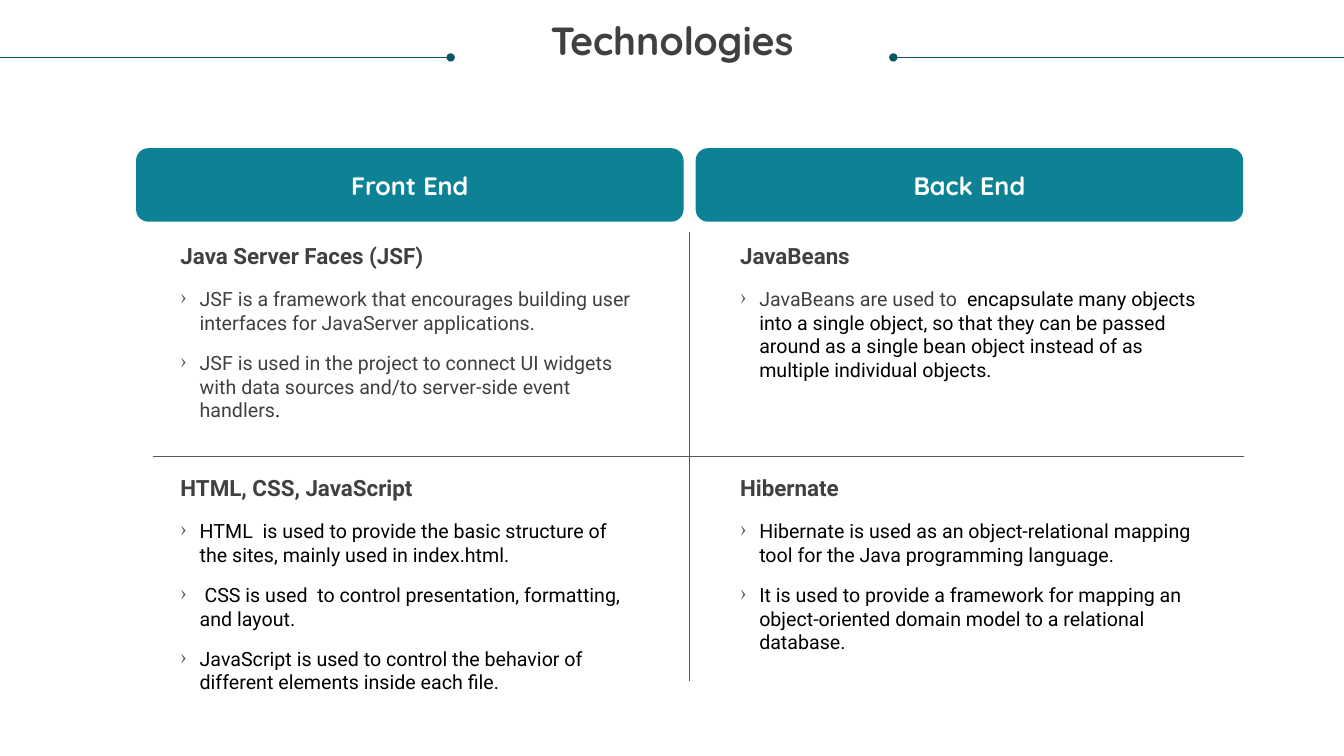
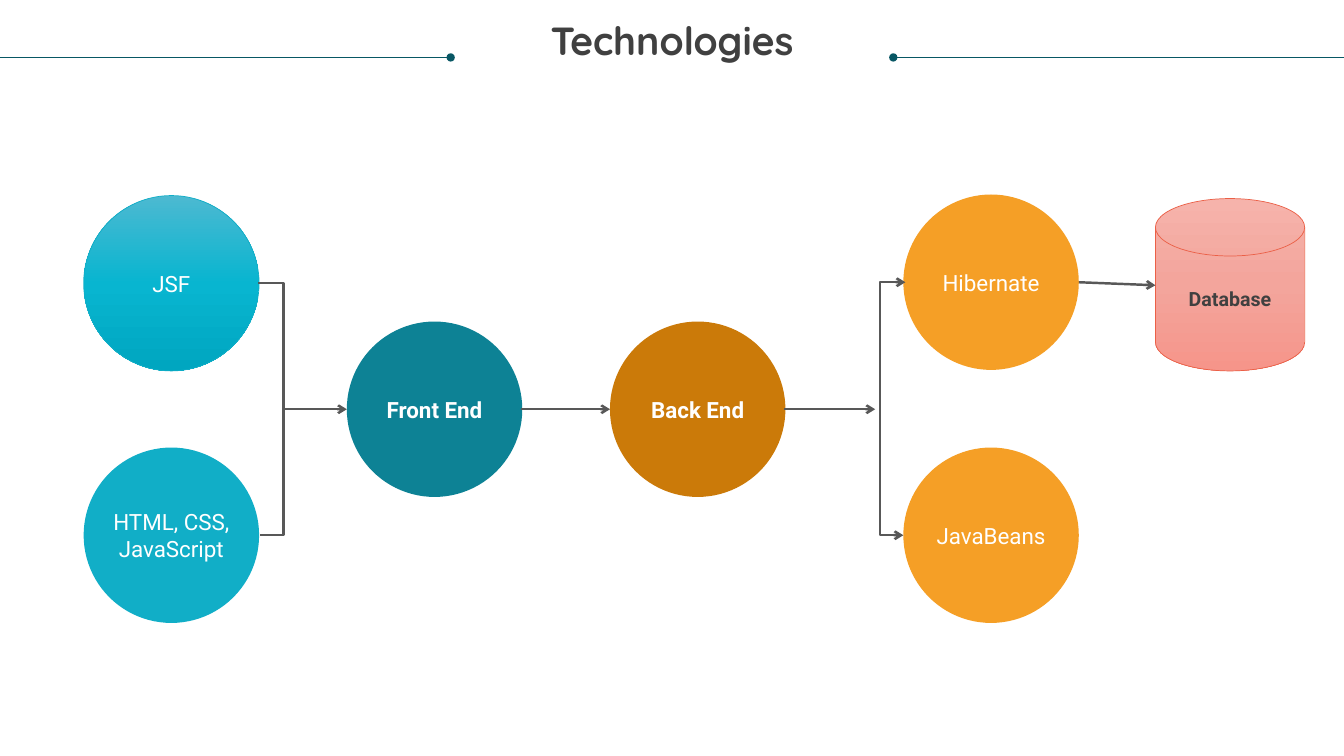
from copy import deepcopy
from dataclasses import dataclass

from lxml import etree
from pptx import Presentation
from pptx.dml.color import RGBColor
from pptx.enum.shapes import MSO_CONNECTOR, MSO_SHAPE
from pptx.enum.text import MSO_ANCHOR, MSO_AUTO_SIZE, PP_ALIGN
from pptx.oxml.ns import qn
from pptx.util import Inches, Pt

STRAIGHT, ELBOW = MSO_CONNECTOR.STRAIGHT, MSO_CONNECTOR.ELBOW
ROUND, OVAL = MSO_SHAPE.ROUNDED_RECTANGLE, MSO_SHAPE.OVAL
DISK = MSO_SHAPE.FLOWCHART_MAGNETIC_DISK
LEFT, CENTER = PP_ALIGN.LEFT, PP_ALIGN.CENTER
TOP, MIDDLE = MSO_ANCHOR.TOP, MSO_ANCHOR.MIDDLE
GROW = MSO_AUTO_SIZE.SHAPE_TO_FIT_TEXT

WHITE = RGBColor(0xFF, 0xFF, 0xFF)
BLACK = RGBColor(0x00, 0x00, 0x00)
DARK = RGBColor(0x40, 0x40, 0x40)
GREY = RGBColor(0x58, 0x58, 0x58)
DEEP = RGBColor(0x08, 0x57, 0x64)
TEAL = RGBColor(0x0D, 0x82, 0x95)
CYAN = RGBColor(0x11, 0xAE, 0xC7)
BROWN = RGBColor(0xCB, 0x7A, 0x09)
AMBER = RGBColor(0xF5, 0x9F, 0x26)
RED = RGBColor(0xEB, 0x60, 0x47)
SEA = (RGBColor(0x4C, 0xB9, 0xD1), RGBColor(0x08, 0xB5, 0xD0), RGBColor(0x00, 0xA6, 0xC0))
ROSE = (RGBColor(0xF6, 0xB3, 0xAB), RGBColor(0xF3, 0xA5, 0x9C), RGBColor(0xF6, 0x95, 0x8A))

HEAD, BODY = "Quicksand", "Roboto"
WIDE, HIGH = 13.33, 7.5
SIZE = 1.74
MID = 4.06

Run = tuple[str, RGBColor]


@dataclass
class Panel:
    col: int
    row: int
    title: str
    items: list[list[Run]]


@dataclass
class Node:
    text: str
    left: float
    top: float
    fill: RGBColor | tuple
    bold: bool = False
    edge: RGBColor | None = None
    ink: RGBColor = WHITE
    size: int = 16
    kind: int = OVAL
    wide: float = SIZE
    high: float = SIZE


@dataclass
class Link:
    start: tuple[float, float]
    end: tuple[float, float]
    head: str | None = None
    tail: str | None = None
    bend: int | None = None


PANELS = [
    Panel(0, 0, "Java Server Faces (JSF)", [
        [("JSF is a framework that encourages building user interfaces for JavaServer applications.", DARK)],
        [("JSF is used in the project to connect UI widgets with data sources and/to server-side event handlers", DARK),
         (".", BLACK)],
    ]),
    Panel(1, 0, "JavaBeans", [
        [("JavaBeans are used to ", DARK),
         (" encapsulate many objects into a single object, so that they can be passed around as a single bean object "
          "instead of as multiple individual objects.", BLACK)],
    ]),
    Panel(0, 1, "HTML, CSS, JavaScript", [
        [("HTML  is used to provide the basic structure of the sites, mainly used in index.html.", BLACK)],
        [(" CSS is used  to control presentation, formatting, and layout.", BLACK)],
        [("JavaScript is used to control the behavior of different elements inside each file.", BLACK)],
    ]),
    Panel(1, 1, "Hibernate", [
        [("Hibernate is used as an object-relational mapping tool for the Java programming language.", BLACK)],
        [("It is used to provide a framework for mapping an object-oriented domain model to a relational database.",
          BLACK)],
    ]),
]

NODES = [
    Node("JSF", 0.83, 1.94, SEA, edge=CYAN),
    Node("HTML, CSS, JavaScript", 0.83, 4.44, CYAN),
    Node("Front End", 3.44, 3.19, TEAL, bold=True),
    Node("Back End", 6.05, 3.19, BROWN, bold=True),
    Node("Hibernate", 8.96, 1.93, AMBER),
    Node("JavaBeans", 8.96, 4.44, AMBER),
    Node("Database", 11.46, 1.97, ROSE, bold=True, edge=RED, ink=DARK, size=14, kind=DISK, wide=1.48, high=1.71),
]

LINKS = [
    Link((2.56, 2.81), (2.58, 5.31), bend=1250000),
    Link((2.82, MID), (3.44, MID), tail="arrow"),
    Link((5.17, MID), (6.05, MID), tail="arrow"),
    Link((7.78, MID), (8.68, MID), tail="arrow"),
    Link((8.98, 2.8), (8.96, 5.31), head="arrow", tail="arrow", bend=1250000),
    Link((10.7, 2.8), (11.46, 2.83), tail="arrow"),
]


def write(shape, paras: list[list[Run]], *, size: int, font: str = BODY, bold: bool = False, align=LEFT,
          anchor=TOP, space: float | None = None, mark: str | None = None) -> None:
    frame = shape.text_frame
    frame.word_wrap = True
    frame.vertical_anchor = anchor
    frame.margin_left = frame.margin_right = frame.margin_top = frame.margin_bottom = 0
    for num, runs in enumerate(paras):
        para = frame.add_paragraph() if num else frame.paragraphs[0]
        para.alignment = align
        if space:
            para.line_spacing = space
        if mark:
            para.space_before = Pt(12)
            props = para._p.get_or_add_pPr()
            props.set("marL", str(Inches(0.19)))
            props.set("indent", str(-Inches(0.19)))
            tint = etree.SubElement(props, qn("a:buClr"))
            etree.SubElement(tint, qn("a:srgbClr"), val=str(GREY))
            etree.SubElement(props, qn("a:buChar"), char=mark)
        for text, ink in runs:
            run = para.add_run()
            run.text = text
            run.font.size = Pt(size)
            run.font.name = font
            run.font.bold = bold
            run.font.color.rgb = ink


def box(slide, left: float, top: float, wide: float, high: float, paras: list[list[Run]], **style) -> None:
    shape = slide.shapes.add_textbox(Inches(left), Inches(top), Inches(wide), Inches(high))
    write(shape, paras, **style)
    shape.text_frame.auto_size = GROW


def block(slide, kind, left: float, top: float, wide: float, high: float, fill, edge: RGBColor | None = None):
    shape = slide.shapes.add_shape(kind, Inches(left), Inches(top), Inches(wide), Inches(high))
    shape.shadow.inherit = False
    if isinstance(fill, tuple) and not isinstance(fill, RGBColor):
        shape.fill.gradient()
        shape.fill.gradient_angle = 270
        stops = shape._element.spPr.find(".//" + qn("a:gsLst"))
        stops.insert(1, deepcopy(stops[0]))
        for num, stop in enumerate(shape.fill.gradient_stops):
            stop.position = num / 2
            stop.color.rgb = fill[num]
    else:
        shape.fill.solid()
        shape.fill.fore_color.rgb = fill
    if edge is None:
        shape.line.fill.background()
    else:
        shape.line.color.rgb = edge
        shape.line.width = Pt(0.5)
    return shape


def draw(slide, link: Link, ink: RGBColor = GREY, width: float = 0.5) -> None:
    kind = ELBOW if link.bend else STRAIGHT
    ends = [Inches(num) for num in (*link.start, *link.end)]
    line = slide.shapes.add_connector(kind, *ends)
    line.line.color.rgb = ink
    line.line.width = Pt(width)
    props = line._element.spPr
    etree.SubElement(props, qn("a:effectLst"))
    for tag, tip in (("a:headEnd", link.head), ("a:tailEnd", link.tail)):
        if tip:
            etree.SubElement(props.find(qn("a:ln")), qn(tag), type=tip)
    if link.bend:
        guides = props.find(".//" + qn("a:avLst"))
        etree.SubElement(guides, qn("a:gd"), name="adj1", fmla=f"val {link.bend}")


def start(deck):
    slide = deck.slides.add_slide(deck.slide_layouts[6])
    draw(slide, Link((8.86, 0.57), (WIDE, 0.57), head="oval"), DEEP)
    box(slide, 0.25, 0.21, 12.83, 0.42, [[("Technologies", DARK)]],
        size=28, font=HEAD, bold=True, align=CENTER, space=0.9)
    draw(slide, Link((0, 0.57), (4.47, 0.57), tail="oval"), DEEP)
    return slide


def grid(deck) -> None:
    slide = start(deck)
    for col, text in enumerate(("Front End", "Back End")):
        band = block(slide, ROUND, 1.35 + 5.55 * col, 1.47, 5.43, 0.73, TEAL)
        write(band, [[(text, WHITE)]], size=18, font=HEAD, bold=True, align=CENTER, anchor=MIDDLE)
    draw(slide, Link((1.52, 4.53), (12.34, 4.53)))
    draw(slide, Link((6.84, 2.3), (6.84, 6.76)))
    for panel in PANELS:
        left = 1.79 + 5.55 * panel.col
        top = 2.4 + 2.3 * panel.row
        box(slide, left, top, 4.55, 0.27, [[(panel.title, DARK)]], size=16, bold=True)
        box(slide, left, top + 0.45, 4.55, 1.35, panel.items, size=14, mark="›")


def flow(deck) -> None:
    slide = start(deck)
    for node in NODES:
        shape = block(slide, node.kind, node.left, node.top, node.wide, node.high, node.fill, node.edge)
        write(shape, [[(node.text, node.ink)]], size=node.size, bold=node.bold, align=CENTER, anchor=MIDDLE)
    for link in LINKS:
        draw(slide, link, width=1.75)


def main() -> None:
    deck = Presentation()
    deck.slide_width = Inches(WIDE)
    deck.slide_height = Inches(HIGH)
    grid(deck)
    flow(deck)
    deck.save("out.pptx")


if __name__ == "__main__":
    main()
